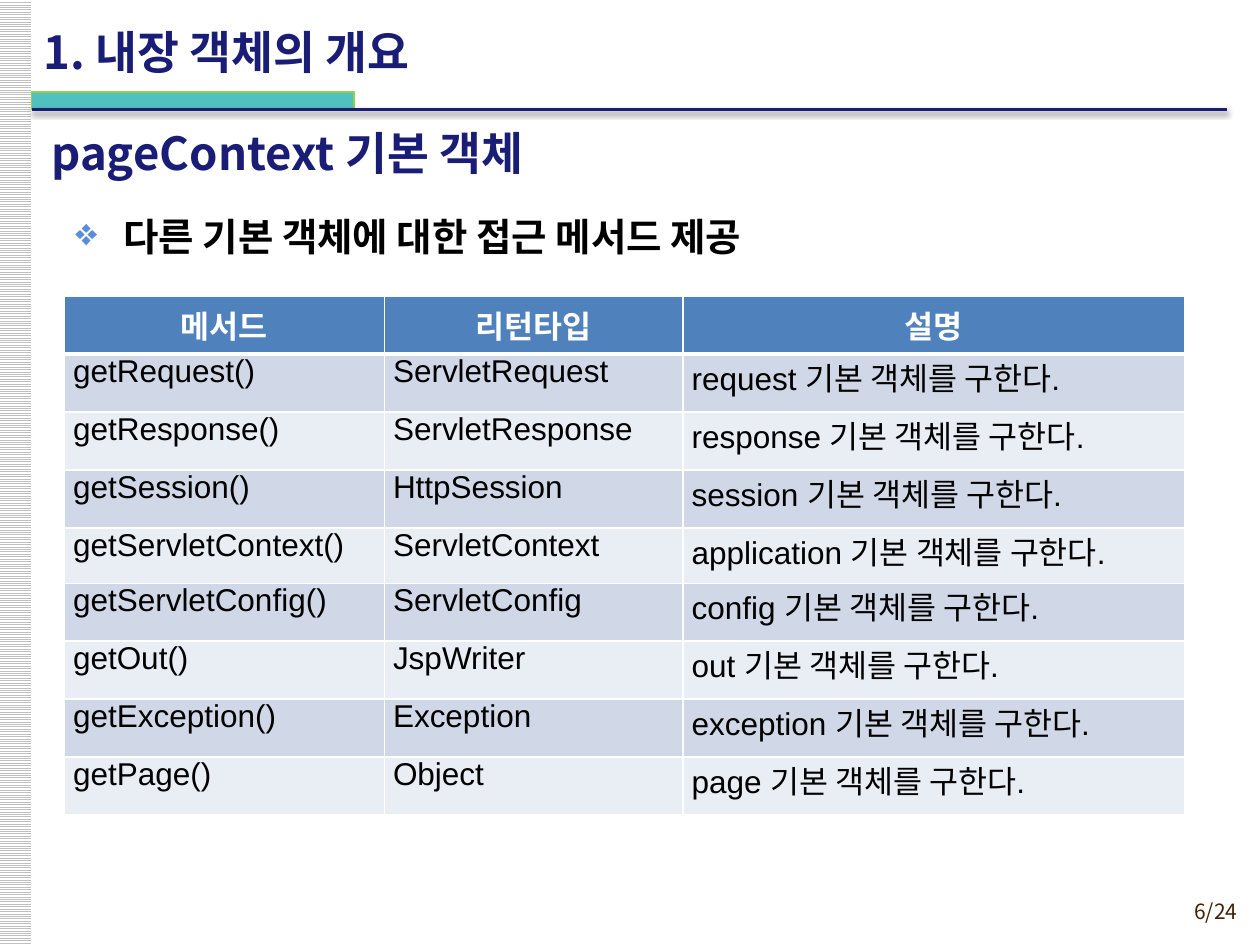
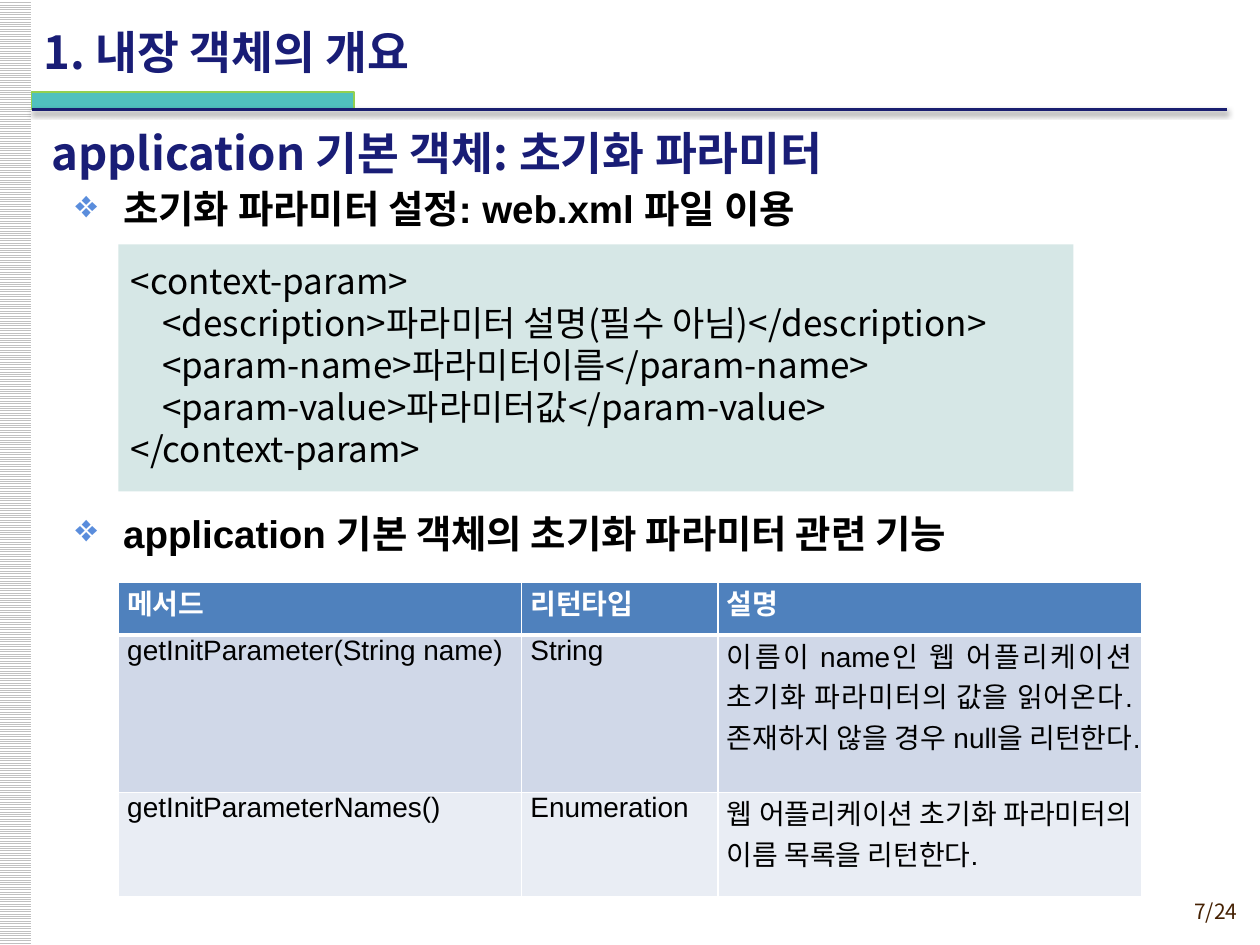
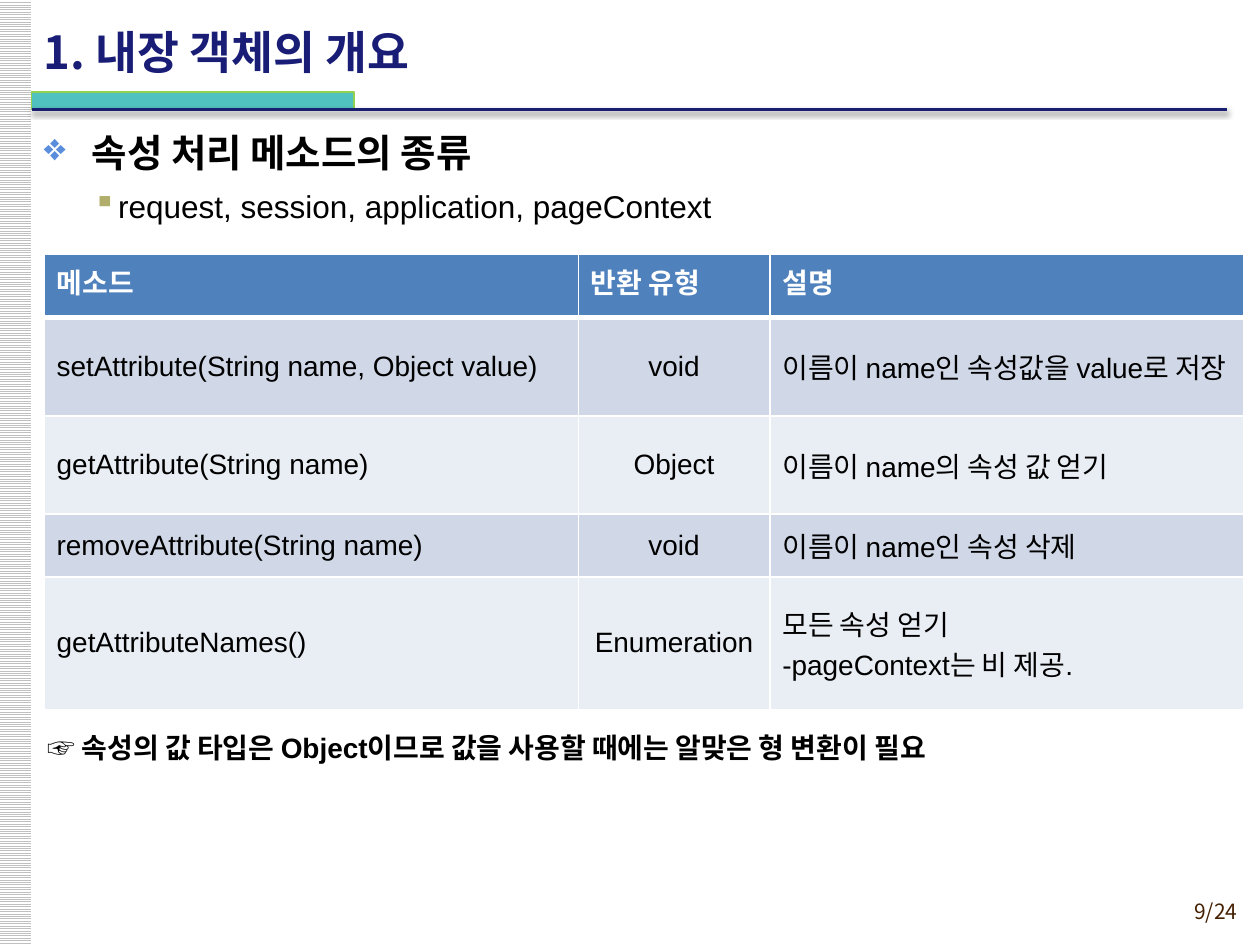
from dataclasses import dataclass
from typing import Optional

from lxml import etree
from pptx import Presentation
from pptx import util as u
from pptx.dml.color import RGBColor
from pptx.enum import dml, shapes, text
from pptx.oxml.ns import qn

# Shared look
SANS, KOREAN = "Arial", "Noto Sans CJK KR"
BLACK, WHITE, TITLE = "000000", "FFFFFF", "191D76"
HEADER, BANDS = "4F81BD", ("D0D8E8", "E9EDF4")
LEFT, CENTER, RIGHT, JUSTIFY = (text.PP_ALIGN.LEFT, text.PP_ALIGN.CENTER,
                                text.PP_ALIGN.RIGHT, text.PP_ALIGN.JUSTIFY)
TOP, MIDDLE = text.MSO_ANCHOR.TOP, text.MSO_ANCHOR.MIDDLE
CHAPTER = "1. 내장 객체의 개요"
PAGE_COUNT = 24


@dataclass(frozen=True)
class Area:
    left: float
    top: float
    width: float
    height: float

    def lengths(self) -> tuple:
        return tuple(u.Inches(n) for n in
                     (self.left, self.top, self.width, self.height))


@dataclass(frozen=True)
class Style:
    size: float
    color: str = BLACK
    bold: bool = False
    font: str = SANS


@dataclass(frozen=True)
class Bullet:
    words: str
    level: int = 0
    gap: Optional[float] = None  # points above; a fifth of the size if unset


@dataclass(frozen=True)
class BulletLook:
    style: Style
    mark: str
    color: str
    margin: float
    hanging: float
    line_spacing: float


@dataclass(frozen=True)
class Grid:
    area: Area
    columns: tuple
    heights: tuple
    rows: tuple  # the first one is the header
    size: float
    aligns: tuple
    header_align: text.PP_ALIGN
    header_anchor: text.MSO_ANCHOR = TOP
    anchor: text.MSO_ANCHOR = TOP
    insets: tuple = (0.07, 0)


HEADING = Style(26, TITLE, True, KOREAN)
LEVELS = (
    BulletLook(Style(22, bold=True), "❖", "5A8DDC", 0.38, 0.38, 1),
    BulletLook(Style(18), "▪", "B1AE6B", 0.59, 0.2, 1.1),
)


def rgb(color: str) -> RGBColor:
    return RGBColor.from_string(color)


def add_xml(parent, tag: str, **attributes):
    return etree.SubElement(parent, qn(tag), attributes)


def format_para(para, style: Style, align=LEFT) -> None:
    para.alignment = align
    for span in para.runs:
        font = span.font
        font.name, font.size, font.bold = style.font, u.Pt(style.size), style.bold
        font.color.rgb = rgb(style.color)
        east_asian = etree.Element(qn("a:ea"), typeface=KOREAN)
        span._r.rPr.find(qn("a:latin")).addnext(east_asian)


def add_text(page, area: Area, words: str, style: Style,
             align=LEFT, anchor=TOP):
    box = page.shapes.add_textbox(*area.lengths())
    frame = box.text_frame
    frame.word_wrap = True
    frame.vertical_anchor = anchor
    if anchor == TOP:
        frame.margin_top = 0
    frame.text = words
    for para in frame.paragraphs:
        format_para(para, style, align)
    return box


def add_bullets(page, area: Area, bullets: list) -> None:
    box = add_text(page, area, "\n".join(b.words for b in bullets),
                   LEVELS[0].style)
    for index, (para, bullet) in enumerate(zip(box.text_frame.paragraphs, bullets)):
        look = LEVELS[bullet.level]
        if bullet.level:
            for span in para.runs:
                span.font.size = u.Pt(look.style.size)
                span.font.bold = look.style.bold
        para.level = bullet.level
        para.line_spacing = look.line_spacing
        gap = look.style.size * 0.2 if bullet.gap is None else bullet.gap
        para.space_before = u.Pt(gap if index else 0)
        para.space_after = u.Pt(1)
        properties = para._p.get_or_add_pPr()
        properties.set("marL", str(u.Inches(look.margin)))
        properties.set("indent", str(-u.Inches(look.hanging)))
        add_xml(add_xml(properties, "a:buClr"), "a:srgbClr", val=look.color)
        add_xml(properties, "a:buChar", char=look.mark)


def add_rect(page, area: Area, color: str):
    shape = page.shapes.add_shape(shapes.MSO_SHAPE.RECTANGLE, *area.lengths())
    shape.shadow.inherit = False
    shape.fill.solid()
    shape.fill.fore_color.rgb = rgb(color)
    shape.line.fill.background()
    return shape


def set_borders(cell, top: float, bottom: float) -> None:
    properties = cell._tc.get_or_add_tcPr()
    sides = (("a:lnL", 1), ("a:lnR", 1), ("a:lnT", top), ("a:lnB", bottom))
    for index, (tag, points) in enumerate(sides):
        line = etree.Element(qn(tag), w=str(u.Pt(points)))
        add_xml(add_xml(line, "a:solidFill"), "a:srgbClr", val=WHITE)
        properties.insert(index, line)


def add_grid(page, grid: Grid) -> None:
    frame = page.shapes.add_table(len(grid.rows), len(grid.columns),
                                  *grid.area.lengths())
    table = frame.table
    for column, width in zip(table.columns, grid.columns):
        column.width = u.Inches(width)
    for row, height in zip(table.rows, grid.heights):
        row.height = u.Inches(height)
    side, edge = (u.Inches(n) for n in grid.insets)
    for r, row in enumerate(grid.rows):
        is_header = r == 0
        style = Style(grid.size, WHITE if is_header else BLACK, is_header)
        for c, words in enumerate(row):
            cell = table.cell(r, c)
            cell.text = words
            cell.margin_left = cell.margin_right = side
            cell.margin_top = cell.margin_bottom = edge
            cell.vertical_anchor = grid.header_anchor if is_header else grid.anchor
            for para in cell.text_frame.paragraphs:
                format_para(para, style,
                            grid.header_align if is_header else grid.aligns[c])
            cell.fill.solid()
            cell.fill.fore_color.rgb = rgb(HEADER if is_header else BANDS[(r - 1) % 2])
            set_borders(cell, 3 if r == 1 else 1, 3 if is_header else 1)


def add_rule(page) -> None:
    ends = (u.Inches(n) for n in (0.25, 0.87, 9.74, 0.87))
    rule = page.shapes.add_connector(shapes.MSO_CONNECTOR.STRAIGHT, *ends)
    rule.line.color.rgb = rgb("191E70")
    rule.line.width = u.Pt(2)
    effects = add_xml(rule._element.spPr, "a:effectLst")
    shadow = add_xml(effects, "a:outerShdw", blurRad=str(u.Pt(3.1)),
                     dist=str(u.Pt(1.6)), dir="5400000", rotWithShape="0")
    add_xml(add_xml(shadow, "a:srgbClr", val=BLACK), "a:alpha", val="38000")


def add_page(deck, number: int, heading: str = ""):
    page = deck.slides.add_slide(deck.slide_layouts[6])
    # Striped side band, footer, title bar and rule
    band = add_rect(page, Area(-0.01, 0, 0.26, 7.5), WHITE)
    band.fill.patterned()
    band.fill.pattern = dml.MSO_PATTERN.LIGHT_HORIZONTAL
    band.fill.fore_color.rgb = rgb("C0C0C0")
    band.fill.back_color.rgb = rgb(WHITE)
    add_text(page, Area(8.86, 7.13, 1.06, 0.29), f"{number}/{PAGE_COUNT}",
             Style(12, "452103", font=KOREAN), RIGHT)
    bar = add_rect(page, Area(0.25, 0.73, 2.56, 0.14), "50C1BE")
    bar.line.color.rgb = rgb("92D050")
    bar.line.width = u.Pt(0.75)
    add_rule(page)
    add_text(page, Area(0.25, 0.09, 8.27, 0.63), CHAPTER, HEADING, anchor=MIDDLE)
    if heading:
        add_text(page, Area(0.31, 0.89, 9.45, 0.64), heading, HEADING, anchor=MIDDLE)
    return page


def add_code(page, area: Area, lines: list) -> None:
    panel = add_rect(page, area, "D6E7E6")
    frame = panel.text_frame
    frame.word_wrap = True
    frame.vertical_anchor = TOP
    frame.margin_top, frame.margin_bottom = u.Inches(0.12), u.Inches(0.16)
    frame.text = "\n".join(words for _, words in lines)
    for para, (depth, _) in zip(frame.paragraphs, lines):
        format_para(para, Style(20, font=KOREAN))
        para.line_spacing = u.Pt(24)
        para._p.get_or_add_pPr().set("marL", str(u.Inches(0.25 * depth)))


def build_page_context(deck) -> None:
    page = add_page(deck, 6, "pageContext 기본 객체")
    add_bullets(page, Area(0.5, 1.69, 9, 5.61),
                [Bullet("다른 기본 객체에 대한 접근 메서드 제공")])
    methods = (
        ("getRequest()", "ServletRequest", "request"),
        ("getResponse()", "ServletResponse", "response"),
        ("getSession()", "HttpSession", "session"),
        ("getServletContext()", "ServletContext", "application"),
        ("getServletConfig()", "ServletConfig", "config"),
        ("getOut()", "JspWriter", "out"),
        ("getException()", "Exception", "exception"),
        ("getPage()", "Object", "page"),
    )
    rows = (("메서드", "리턴타입", "설명"),) + tuple(
        (method, kind, f"{name} 기본 객체를 구한다.") for method, kind, name in methods)
    add_grid(page, Grid(
        Area(0.51, 2.35, 8.9, 4.09), (2.54, 2.37, 3.98),
        (0.46,) * 4 + (0.44,) + (0.46,) * 4, rows, 18,
        (JUSTIFY,) * 3, CENTER, header_anchor=MIDDLE))


def build_application(deck) -> None:
    page = add_page(deck, 7, "application 기본 객체: 초기화 파라미터")
    add_bullets(page, Area(0.5, 1.47, 9, 5.76), [
        Bullet("초기화 파라미터 설정: web.xml 파일 이용"),
        Bullet("application 기본 객체의 초기화 파라미터 관련 기능", gap=158),
    ])
    add_code(page, Area(0.94, 1.94, 7.58, 1.96), [
        (0, "<context-param>"),
        (1, "<description>파라미터 설명(필수 아님)</description>"),
        (1, "<param-name>파라미터이름</param-name>"),
        (1, "<param-value>파라미터값</param-value>"),
        (0, "</context-param>"),
    ])
    rows = (
        ("메서드", "리턴타입", "설명"),
        ("getInitParameter(String name)", "String",
         "이름이 name인 웹 어플리케이션 초기화 파라미터의 값을 읽어온다. "
         "존재하지 않을 경우 null을 리턴한다."),
        ("getInitParameterNames()", "Enumeration",
         "웹 어플리케이션 초기화 파라미터의 이름 목록을 리턴한다."),
    )
    add_grid(page, Grid(Area(0.94, 4.62, 8.13, 2.5), (3.2, 1.56, 3.36),
                        (0.42, 1.25, 0.83), rows, 16, (JUSTIFY,) * 3, JUSTIFY))


def build_attributes(deck) -> None:
    page = add_page(deck, 9)
    add_bullets(page, Area(0.25, 1.02, 9.5, 6.25), [
        Bullet("속성 처리 메소드의 종류"),
        Bullet("request, session, application, pageContext", level=1),
    ])
    rows = (
        ("메소드", "반환 유형", "설명"),
        ("setAttribute(String name, Object value)", "void",
         "이름이 name인 속성값을 value로 저장"),
        ("getAttribute(String name)", "Object", "이름이 name의 속성 값 얻기"),
        ("removeAttribute(String name)", "void", "이름이 name인 속성 삭제"),
        ("getAttributeNames()", "Enumeration",
         "모든 속성 얻기\n-pageContext는 비 제공."),
    )
    add_grid(page, Grid(Area(0.35, 2.02, 9.53, 3.62), (4.24, 1.52, 3.76),
                        (0.5, 0.78, 0.78, 0.5, 1.05), rows, 16,
                        (LEFT, CENTER, LEFT), LEFT, anchor=MIDDLE,
                        insets=(0.1, 0.05)))
    add_text(page, Area(0.28, 5.8, 8.05, 0.37),
             "☞ 속성의 값 타입은 Object이므로 값을 사용할 때에는 알맞은 형 변환이 필요",
             Style(16, bold=True))


def main() -> None:
    deck = Presentation()
    deck.slide_width, deck.slide_height = u.Inches(10), u.Inches(7.5)
    build_page_context(deck)
    build_application(deck)
    build_attributes(deck)
    deck.save("out.pptx")


if __name__ == "__main__":
    main()
